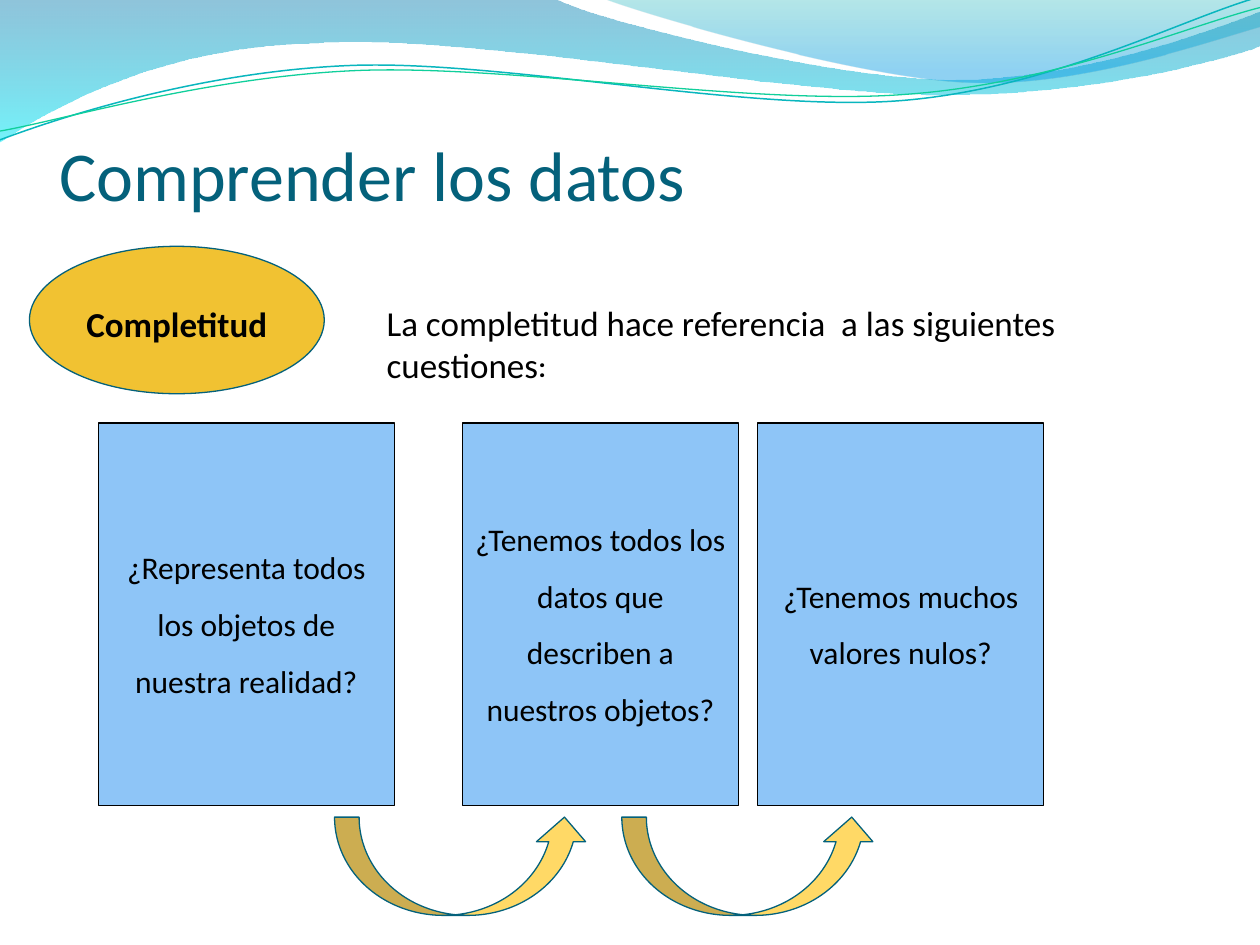
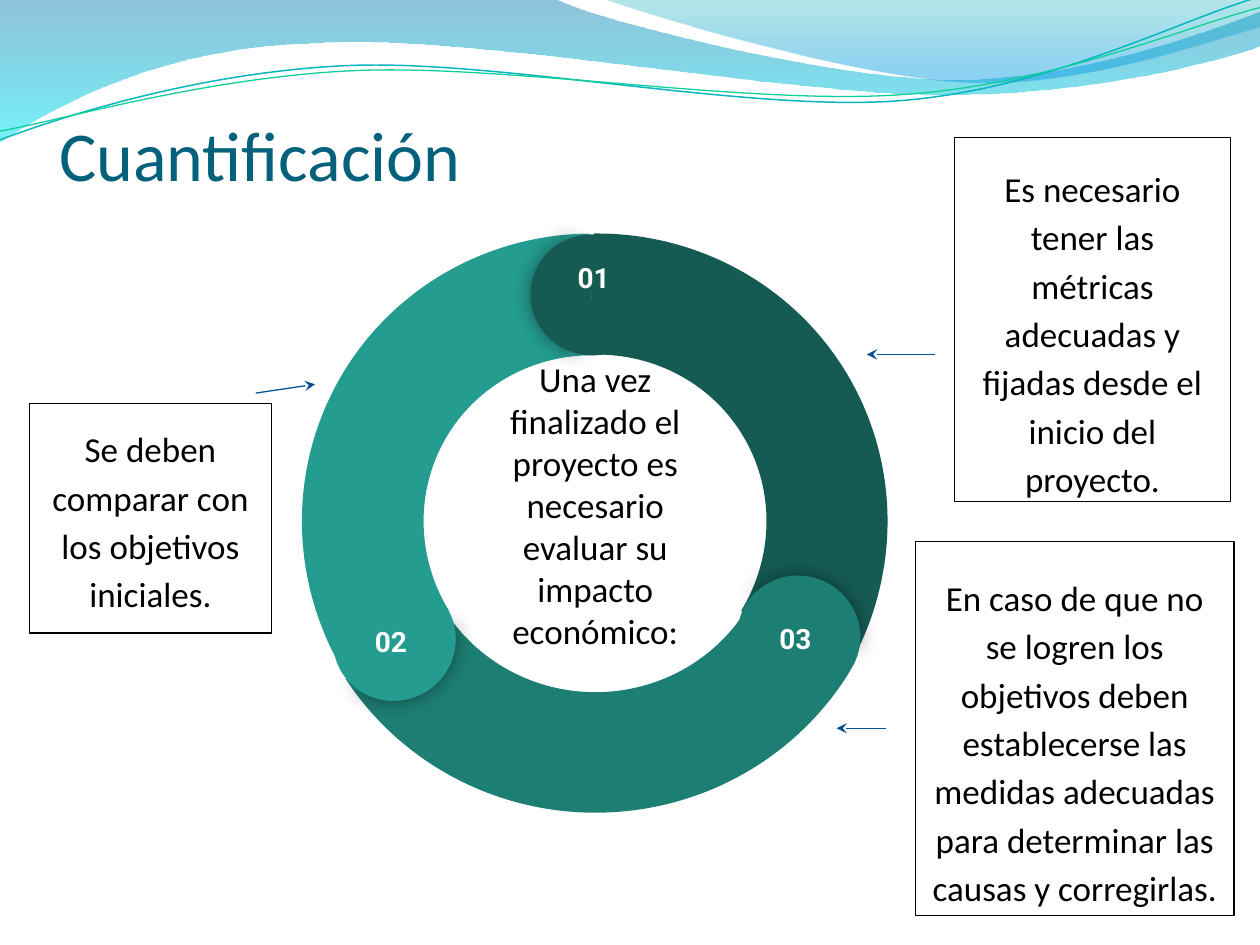
from math import cos, radians, sin

from lxml.etree import SubElement
from pptx import Presentation
from pptx.dml.color import RGBColor
from pptx.enum.shapes import MSO_CONNECTOR, MSO_SHAPE
from pptx.enum.text import MSO_ANCHOR, PP_ALIGN
from pptx.oxml.ns import qn
from pptx.util import Inches, Pt

RECT, OVAL = MSO_SHAPE.RECTANGLE, MSO_SHAPE.OVAL
ARC, PIE = MSO_SHAPE.BLOCK_ARC, MSO_SHAPE.PIE
CURVED_ARROW = MSO_SHAPE.CURVED_UP_ARROW
STRAIGHT = MSO_CONNECTOR.STRAIGHT
TOP, MIDDLE, BOTTOM = MSO_ANCHOR.TOP, MSO_ANCHOR.MIDDLE, MSO_ANCHOR.BOTTOM
LEFT, CENTER = PP_ALIGN.LEFT, PP_ALIGN.CENTER

COLORS = {
    "title": "04617B", "text": "000000", "white": "FFFFFF",
    "question": "8EC5F7", "topic": "F1C232", "arrow": "FFD966",
    "step 1": "155B54", "step 2": "249C90", "step 3": "1D7E74",
    "pointer": "075192", "upper wave": "09B6BE", "lower wave": "10CF9B",
    "band start": "0079AD", "band end": "00E9F7",
    "corner start": "00ABB4", "corner end": "0099E4",
}
RGB = {name: RGBColor.from_string(value) for name, value in COLORS.items()}

prs = Presentation()
prs.slide_width, prs.slide_height = Inches(10), Inches(7.5)
CELL = prs.slide_width / 100  # the slide is a grid of 100 columns by 75 rows


def add_figure(slide, kind, at, fill=None, line=None, turn=0, adjust=()):
    """Add a preset shape, or a text box if kind is None; at is in grid cells."""
    frame = [round(n * CELL) for n in at]
    if kind is None:
        return slide.shapes.add_textbox(*frame)
    figure = slide.shapes.add_shape(kind, *frame)
    figure.shadow.inherit = False
    figure.rotation = turn
    for index, value in enumerate(adjust):
        figure.adjustments[index] = value
    if fill:
        figure.fill.solid()
        figure.fill.fore_color.rgb = RGB[fill]
    else:
        figure.fill.background()
    if line:
        figure.line.color.rgb = RGB[line]
        figure.line.width = Pt(0.75)
    else:
        figure.line.fill.background()
    return figure


def write(shape, runs, size, color="text", bold=False, align=CENTER,
          anchor=MIDDLE, spacing=1.0, insets=(1, 1, 1, 1)):
    """Fill a shape with one paragraph of (text, font) runs."""
    frame = shape.text_frame
    frame.word_wrap = True
    frame.vertical_anchor = anchor
    (frame.margin_left, frame.margin_top,
     frame.margin_right, frame.margin_bottom) = (round(n * CELL) for n in insets)
    paragraph = frame.paragraphs[0]
    paragraph.alignment = align
    paragraph.line_spacing = spacing
    for text, font in runs:
        run = paragraph.add_run()
        run.text = text
        run.font.name = font
        run.font.size = Pt(size)
        run.font.bold = bold
        run.font.color.rgb = RGB[color]


data_slide, impact_slide = (prs.slides.add_slide(prs.slide_layouts[6])
                            for _ in range(2))

# Shared header: one point is a straight side, three points are a Bézier curve.
BAND = [[(0, 0)], [(44, -0.1)],
        [(47.6, 1.7), (66.4, 6.3), (75.8, 6.3)],
        [(85.3, 6.3), (95.8, 2.6), (100, 0.9)], [(100.1, 3.6)],
        [(98.3, 4.4), (87, 7.6), (74.6, 7.5)],
        [(62.2, 7.5), (38.2, 2.8), (25.7, 3.4)],
        [(12.9, 3.6), (4.6, 8.3), (-0.1, 11.3)]]
CORNER = [[(47.9, -0.1)],
          [(50.9, 1.1), (68.2, 6.2), (76.9, 6.5)],
          [(85.6, 6.9), (96.1, 3.2), (100, 2.1)], [(100, 0)]]
UPPER_WAVE = [[(0, 11.1)],
              [(4.8, 9.3), (15.8, 5.7), (27.7, 5.2)],
              [(39.5, 4.7), (59.3, 8.9), (71.3, 8)],
              [(83.3, 7.1), (93.8, 1.5), (99.8, -0.2)]]
LOWER_WAVE = [[(0, 10.4)],
              [(4.7, 9.6), (16.4, 6.1), (28.3, 5.6)],
              [(40.3, 5.1), (59.7, 8.4), (71.7, 7.5)],
              [(83.6, 6.7), (94.1, 2.1), (100, 0.6)]]
# outline, gradient stops (colour, position, opacity), line (colour, width), pivot
HEADER = [
    (BAND, [("band start", 0, 44), ("band end", 1, 55)], None, None),
    (CORNER, [("corner start", 0, 29), ("corner end", 0.8, 44)], None, None),
    (UPPER_WAVE, None, ("upper wave", 0.85), (49.9, 5.75)),
    (LOWER_WAVE, None, ("lower wave", 0.75), (49.95, 5.9)),
]
TILT = 2.7
master_tree = prs.slide_master.element.cSld.spTree

for order, (outline, stops, stroke, pivot) in enumerate(HEADER):
    points = [point for segment in outline for point in segment]
    if pivot:
        c, s = cos(radians(TILT)), sin(radians(TILT))
        px, py = pivot
        points = [(px + (x - px) * c - (y - py) * s, py + (x - px) * s + (y - py) * c)
                  for x, y in points]
    emus = [(round(x * CELL), round(y * CELL)) for x, y in points]
    builder = data_slide.shapes.build_freeform(*emus[0], scale=1.0)
    builder.add_line_segments(emus[1:], close=stroke is None)
    wave = builder.convert_to_shape()
    wave.shadow.inherit = False
    track = next(wave.element.iter(qn("a:path")))
    sides = iter(track.findall(qn("a:lnTo")))
    for segment in outline[1:]:
        side = next(sides)
        if len(segment) == 3:
            side.tag = qn("a:cubicBezTo")
            for extra in (next(sides), next(sides)):
                side.append(extra[0])
                track.remove(extra)
    if stroke:
        wave.rotation = 360 - TILT
        wave.fill.background()
        wave.line.color.rgb = RGB[stroke[0]]
        wave.line.width = Pt(stroke[1])
    else:
        wave.line.fill.background()
        wave.fill.gradient()
        wave.fill.gradient_angle = 270
        for stop, (color, position, _) in zip(wave.fill.gradient_stops, stops):
            stop.color.rgb = RGB[color]
            stop.position = position
        for tint, (_, _, opacity) in zip(wave.element.iter(qn("a:srgbClr")), stops):
            SubElement(tint, qn("a:alpha")).set("val", str(opacity * 1000))
    # The master holds the header once, behind everything on both slides.
    wave.element.nvSpPr.cNvPr.set("id", str(100 + order))
    master_tree.insert(2 + order, wave.element)

for slide, title, title_top in [(data_slide, "Comprender los datos", 9.4),
                                (impact_slide, "Cuantificación", 7.8)]:
    heading = add_figure(slide, None, (4.7, title_top, 90, 7.7))
    write(heading, [(title, "Calibri")], 40, "title", align=LEFT, anchor=BOTTOM,
          insets=(0, 0.5, 0, 0))

# Comprender los datos
for arrow_left in (26.55, 49.35):
    add_figure(data_slide, CURVED_ARROW, (arrow_left, 64.85, 20.2, 7.8), "arrow",
               "title", adjust=(0.25, 0.5, 0.25))
QUESTIONS = [
    (7.8, 23.5, "¿Representa todos los objetos de nuestra realidad?"),
    (36.7, 21.9, "¿Tenemos todos los datos que describen a nuestros objetos?"),
    (60.15, 22.7, "¿Tenemos muchos valores nulos?"),
]
for left, width, question in QUESTIONS:
    card = add_figure(data_slide, RECT, (left, 33.58, width, 30.35), "question", "text")
    write(card, [(question, "Calibri")], 18, spacing=1.5)
intro = add_figure(data_slide, None, (29.7, 23.4, 68, 7.7))
write(intro, [("La completitud hace referencia  a las siguientes cuestiones", "Calibri"),
              (":", "Vollkorn")], 20, align=LEFT, anchor=TOP, insets=(1, 0.5, 1, 0.5))
topic = add_figure(data_slide, OVAL, (2.34, 19.55, 23.4, 11.7), "topic", "title")
write(topic, [("Completitud", "Calibri")], 20, bold=True, spacing=1.15)

# Cuantificación
summary = add_figure(impact_slide, None, (39.1, 27.35, 16.3, 25.1))
write(summary, [("Una vez finalizado el proyecto es necesario evaluar su impacto "
                 "económico:", "Calibri")], 20, anchor=TOP)
NOTES = [
    ((72.65, 43, 25.3, 29.65), TOP, (1, 2.25, 1, 0),
     "En caso de que no se logren los objetivos deben establecerse las medidas "
     "adecuadas para determinar las causas y corregirlas."),
    ((75.75, 10.9, 21.9, 28.9), TOP, (1, 1.9, 1, 0),
     "Es necesario tener las métricas adecuadas y fijadas desde el inicio del "
     "proyecto."),
    ((2.34, 32.03, 19.2, 18.2), MIDDLE, (1, 1, 1, 1),
     "Se deben comparar con los objetivos iniciales."),
]
for at, anchor, insets, note in NOTES:
    frame = add_figure(impact_slide, RECT, at, line="text")
    write(frame, [(note, "Calibri")], 20, anchor=anchor, spacing=1.15, insets=insets)

# colour, place, turn, end angle, thickness in percent
RING = [
    ("step 1", (23.9, 18.2, 46.2, 47.1), 60, 197.82, 20.8),
    ("step 3", (23.7, 18.3, 47.1, 46.2), 180, 196.63, 20.7),
    ("step 2", (24.3, 18.2, 46.2, 47.1), 300, 197.03, 20.9),
]
for color, at, turn, end, thickness in RING:
    add_figure(impact_slide, ARC, at, color, turn=turn,
               adjust=(126.23, end, thickness / 100))

# Each arc starts with a round cap: a shaded half under a plain half.
CAPS = [
    ("step 2", (26.5, 45.9, 9.6, 9.8), 240),
    ("step 1", (42.1, 18.6, 9.8, 9.6), 0),
    ("step 3", (58.6, 45.6, 9.6, 9.8), 120),
]
for color, at, turn in CAPS:
    shaded = add_figure(impact_slide, PIE, at, color, turn=turn + 0.6,
                        adjust=(61.9, 149.96))
    effects = shaded.element.spPr.find(qn("a:effectLst"))
    shadow = SubElement(effects, qn("a:outerShdw"), blurRad=str(Pt(11.2)), dist="0",
                        dir="0", algn="ctr", rotWithShape="0")
    shade = SubElement(shadow, qn("a:srgbClr"), val=COLORS["text"])
    SubElement(shade, qn("a:alpha"), val="42000")
    add_figure(impact_slide, PIE, at, color, turn=(turn + 180) % 360,
               adjust=(40.28, 171.84))

for number, left, top in [("03 ", 59.1, 48.3), ("01 ", 43.1, 19.7), ("02 ", 27, 48.6)]:
    label = add_figure(impact_slide, None, (left, top, 8.6, 4.4))
    write(label, [(number, "Roboto")], 16, "white", bold=True, anchor=TOP)

POINTERS = [(20.3, 31.2, 25, 30.5), (74.2, 28.13, 68.8, 28.13),
            (70.3, 57.8, 66.4, 57.8)]
for ends in POINTERS:
    pointer = impact_slide.shapes.add_connector(
        STRAIGHT, *(round(n * CELL) for n in ends))
    pointer.line.color.rgb = RGB["pointer"]
    pointer.line.width = Pt(0.75)
    outline = pointer.element.spPr.find(qn("a:ln"))
    SubElement(outline, qn("a:tailEnd"), type="stealth")
    SubElement(pointer.element.spPr, qn("a:effectLst"))

prs.save("out.pptx")
